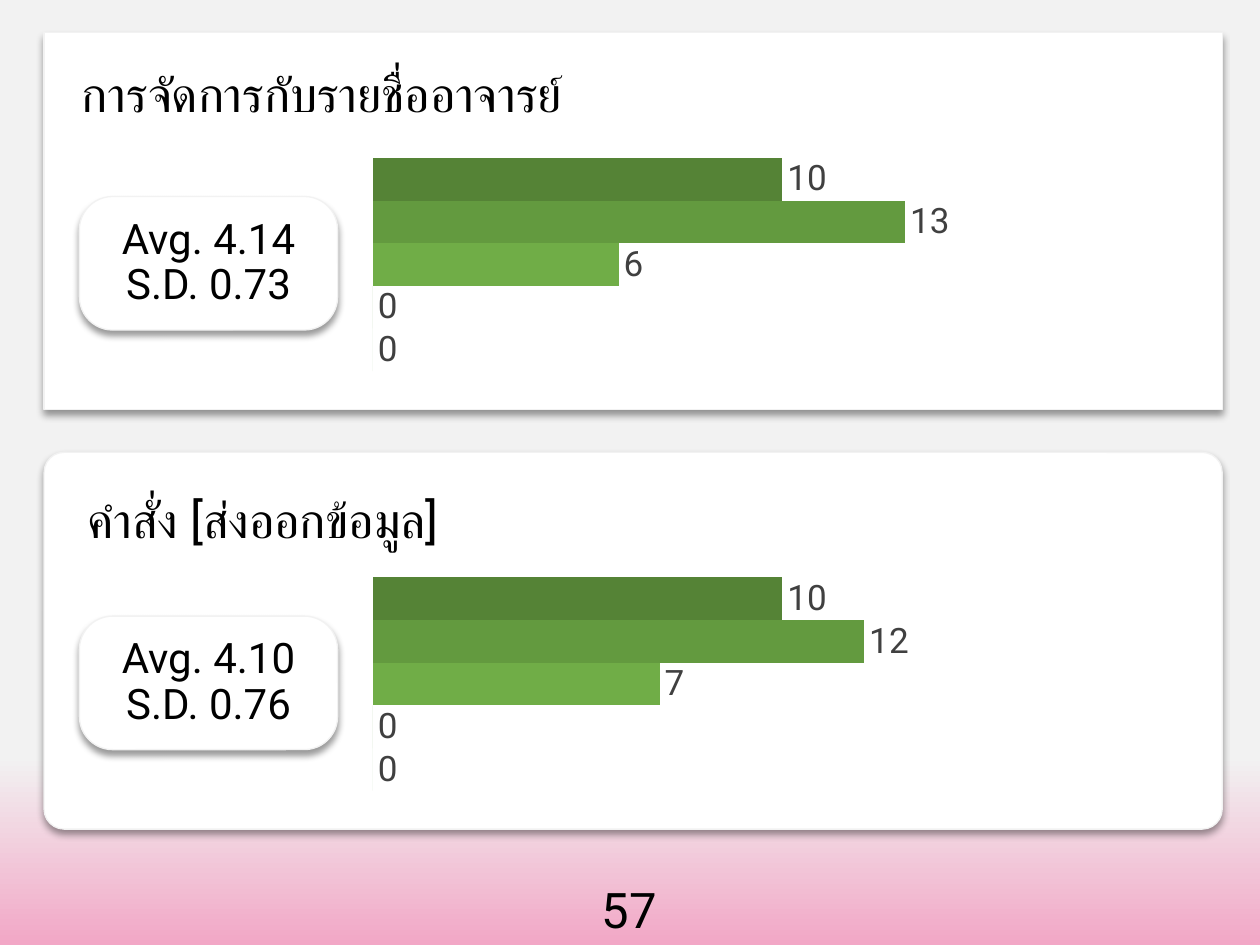
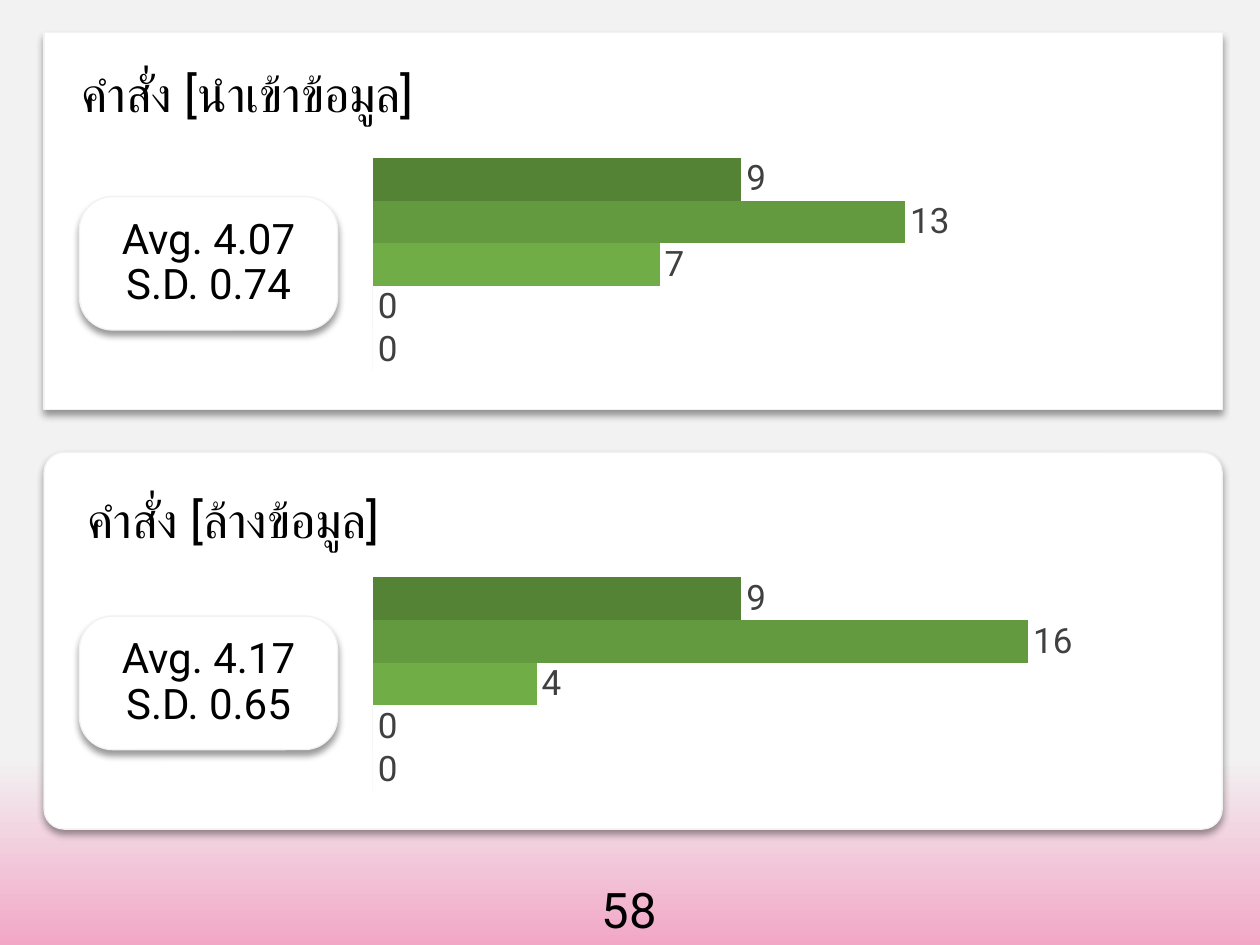
from dataclasses import dataclass

from lxml import etree
from pptx import Presentation
from pptx.chart import data as chart_data
from pptx.dml.color import RGBColor
from pptx.enum import chart as chart_enum, shapes, text
from pptx.oxml import parse_xml
from pptx.oxml.ns import nsdecls, qn
from pptx.util import Inches, Pt

# Content: page number, then (heading, average, deviation, votes from best to worst)
PAGES = [
    (57, [("การจัดการกับรายชื่ออาจารย์", "4.14", "0.73", (10, 13, 6, 0, 0)),
          ("คำสั่ง [ส่งออกข้อมูล]", "4.10", "0.76", (10, 12, 7, 0, 0))]),
    (58, [("คำสั่ง [นำเข้าข้อมูล]", "4.07", "0.74", (9, 13, 7, 0, 0)),
          ("คำสั่ง [ล้างข้อมูล]", "4.17", "0.65", (9, 16, 4, 0, 0))]),
]


# Theme
@dataclass(frozen=True)
class Theme:
    font: str = "Roboto"
    heading_size: int = 28
    badge_size: int = 24
    label_size: int = 20
    ink: str = "000000"
    label: str = "404040"
    card: str = "FFFFFF"
    edge: str = "F2F2F2"
    background: tuple = ((0.8, "F2F2F2"), (1.0, "F2A7C6"))
    bars: tuple = ("C3D8BB", "A1C490", "70AD47", "639A3F", "558336")


THEME = Theme()

# Layout in inches: left, top, width, height within the first panel
CARD = (0.35, 0.26, 9.35, 2.99)
BADGE = (0.63, 1.56, 2.05, 1.06)
CHART = (2.96, 0.95, 6.5, 2.3)
PAGE_NUMBER = (4.33, 6.93, 1.33, 0.57)
PANEL_PITCH = 3.33
CARD_ROUNDING, BADGE_ROUNDING = 0.053, 0.249


def box(place, panel=0):
    left, top, width, height = place
    return [Inches(value) for value in (left, top + panel * PANEL_PITCH, width, height)]


def color(value):
    return RGBColor.from_string(value)


def set_font(font, size, ink=THEME.ink):
    font.name, font.size = THEME.font, Pt(size)
    font.color.rgb = color(ink)


def write(shape, words, size, align, anchor, inset=None, spacing=None):
    frame = shape.text_frame
    frame.text = words
    frame.word_wrap = True
    frame.auto_size = text.MSO_AUTO_SIZE.NONE
    frame.vertical_anchor = anchor
    if inset is not None:
        frame.margin_left = frame.margin_top = Inches(inset)
        frame.margin_right = frame.margin_bottom = Inches(inset)
    for paragraph in frame.paragraphs:
        paragraph.alignment = align
        if spacing:
            paragraph.line_spacing = spacing
        for run in paragraph.runs:
            set_font(run.font, size)
            # Thai text takes the complex-script font
            complex_font = etree.SubElement(run.font._element, qn("a:cs"))
            complex_font.set("typeface", THEME.font)


def style_card(shape):
    """White surface, pale edge and a soft shadow below."""
    shape.fill.solid()
    shape.fill.fore_color.rgb = color(THEME.card)
    shape.line.color.rgb = color(THEME.edge)
    shape.line.width = Pt(0.75)
    shape.shadow.inherit = False
    effects = shape._element.spPr.find(qn("a:effectLst"))
    effects.append(parse_xml(
        f'<a:outerShdw {nsdecls("a")} blurRad="{Pt(4)}" dist="{Pt(3)}" dir="5400000" '
        'algn="t" rotWithShape="0"><a:srgbClr val="000000"><a:alpha val="40000"/>'
        '</a:srgbClr></a:outerShdw>'))


def add_rounded(slide, place, panel, rounding):
    shape = slide.shapes.add_shape(shapes.MSO_SHAPE.ROUNDED_RECTANGLE, *box(place, panel))
    shape.adjustments[0] = rounding
    style_card(shape)
    return shape


def title_card(slide):
    title = slide.shapes.title
    title.left, title.top, title.width, title.height = box(CARD)
    title._element.spPr.append(parse_xml(
        f'<a:prstGeom {nsdecls("a")} prst="roundRect"><a:avLst>'
        f'<a:gd name="adj" fmla="val {round(CARD_ROUNDING * 100000)}"/>'
        '</a:avLst></a:prstGeom>'))
    style_card(title)
    return title


def add_votes_chart(slide, panel, votes):
    data = chart_data.CategoryChartData()
    data.categories = ["1"]
    for number, count in enumerate(reversed(votes), 1):
        data.add_series(f"Series {number}", [count])
    chart = slide.shapes.add_chart(
        chart_enum.XL_CHART_TYPE.BAR_CLUSTERED, *box(CHART, panel), data).chart
    chart.has_legend = chart.has_title = False
    set_font(chart.font, THEME.label_size)

    for axis in (chart.category_axis, chart.value_axis):
        axis.has_major_gridlines = False
        axis.visible = False
    chart.value_axis.minimum_scale, chart.value_axis.maximum_scale = 0, 20

    plot = chart.plots[0]
    plot.gap_width, plot.overlap = 179, 0
    plot.vary_by_categories = False
    for series, fill in zip(plot.series, THEME.bars):
        series.format.fill.solid()
        series.format.fill.fore_color.rgb = color(fill)
        labels = series.data_labels
        labels.show_value = True
        labels.position = chart_enum.XL_LABEL_POSITION.OUTSIDE_END
        set_font(labels.font, THEME.label_size, THEME.label)

    # Let the plot fill the whole chart frame
    plot_area = chart._chartSpace.chart.plotArea
    for layout in plot_area.findall(qn("c:layout")):
        plot_area.remove(layout)
    plot_area.insert(0, parse_xml(
        f'<c:layout {nsdecls("c")}><c:manualLayout><c:layoutTarget val="inner"/>'
        '<c:xMode val="edge"/><c:yMode val="edge"/><c:x val="0"/><c:y val="0"/>'
        '<c:w val="1"/><c:h val="1"/></c:manualLayout></c:layout>'))


def add_panel(slide, panel, heading, average, deviation, votes):
    card = add_rounded(slide, CARD, panel, CARD_ROUNDING) if panel else title_card(slide)
    write(card, heading, THEME.heading_size, text.PP_ALIGN.LEFT,
          text.MSO_ANCHOR.TOP, inset=0.3, spacing=0.9)
    badge = add_rounded(slide, BADGE, panel, BADGE_ROUNDING)
    write(badge, f"Avg. {average}\vS.D. {deviation}", THEME.badge_size,
          text.PP_ALIGN.CENTER, text.MSO_ANCHOR.MIDDLE, inset=0, spacing=0.9)
    add_votes_chart(slide, panel, votes)


def paint_background(slide):
    fill = slide.background.fill
    fill.gradient()
    fill.gradient_angle = 270
    for stop, (position, value) in zip(fill.gradient_stops, THEME.background):
        stop.position = position
        stop.color.rgb = color(value)


def add_page_number(slide, number):
    page_number = slide.shapes.add_textbox(*box(PAGE_NUMBER))
    write(page_number, str(number), THEME.heading_size,
          text.PP_ALIGN.CENTER, text.MSO_ANCHOR.TOP)
    page_number.text_frame.auto_size = text.MSO_AUTO_SIZE.SHAPE_TO_FIT_TEXT


def main():
    presentation = Presentation()
    presentation.slide_width, presentation.slide_height = Inches(10), Inches(7.5)
    title_only = presentation.slide_layouts.get_by_name("Title Only")
    for number, panels in PAGES:
        slide = presentation.slides.add_slide(title_only)
        paint_background(slide)
        add_page_number(slide, number)
        for panel, content in enumerate(panels):
            add_panel(slide, panel, *content)
    presentation.save("out.pptx")


if __name__ == "__main__":
    main()
